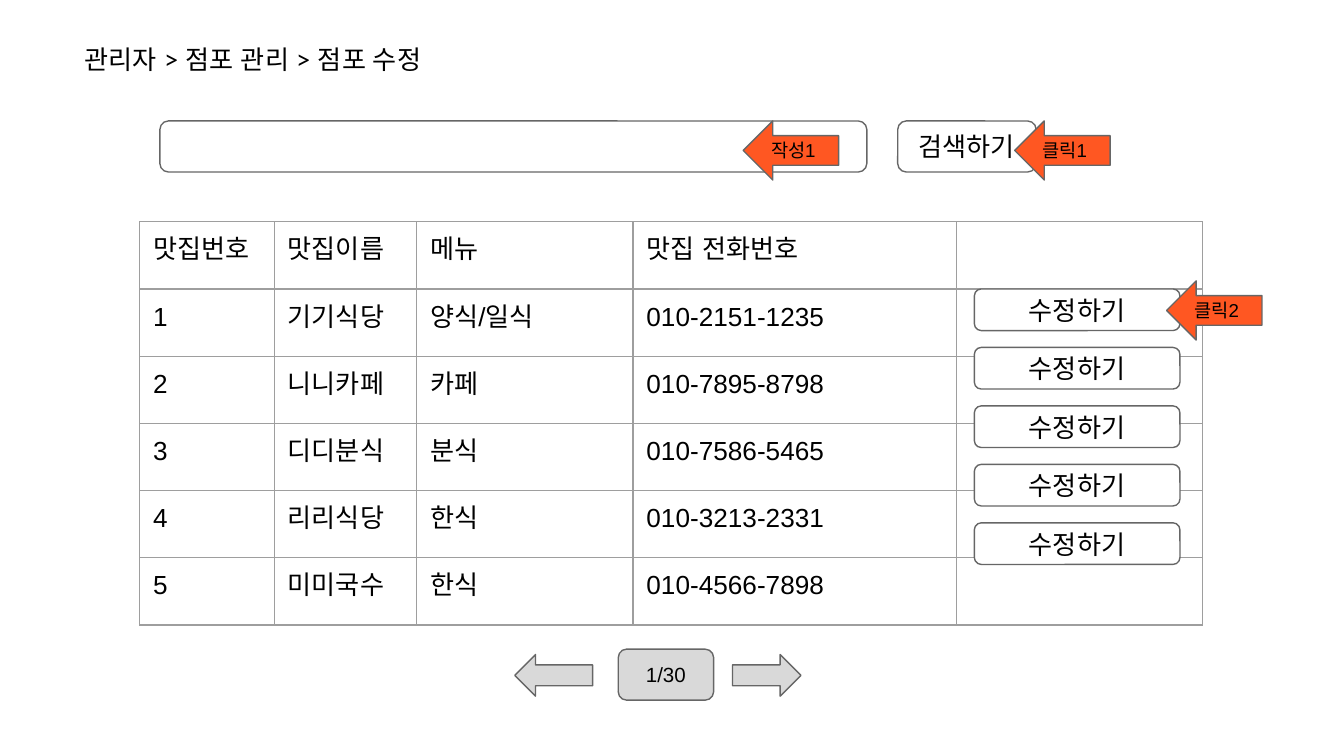
import pptx
import pptx.util
import pptx.dml.color
import pptx.enum.shapes
import pptx.enum.text
import pptx.oxml
from pptx.oxml.ns import nsdecls

Inches = pptx.util.Inches
Pt = pptx.util.Pt
RGB = pptx.dml.color.RGBColor.from_string
SHAPE = pptx.enum.shapes.MSO_SHAPE
ALIGN = pptx.enum.text.PP_ALIGN
ANCHOR = pptx.enum.text.MSO_ANCHOR

COLORS = {
    "text": "000000",
    "white": "FFFFFF",
    "outline": "666666",
    "pager": "D9D9D9",
    "callout": "FF5722",
    "grid": "9E9E9E",
}


def write(frame, text, size=14, font="Arial", align=ALIGN.LEFT, anchor=ANCHOR.TOP):
    frame.word_wrap = True
    frame.vertical_anchor = anchor
    frame.margin_left = frame.margin_right = Inches(0.1)
    frame.margin_top = frame.margin_bottom = Inches(0.1)
    paragraph = frame.paragraphs[0]
    paragraph.alignment = align
    run = paragraph.add_run()
    run.text = text
    run.font.size = Pt(size)
    run.font.name = font
    run.font.color.rgb = RGB(COLORS["text"])
    # Hangul takes its font from the East Asian slot
    run.font._element.append(pptx.oxml.parse_xml(
        f'<a:ea {nsdecls("a")} typeface="{font}"/>'))


def add_control(kind, left, top, width, height, fill, text="", **text_format):
    control = slide.shapes.add_shape(
        kind, Inches(left), Inches(top), Inches(width), Inches(height))
    control.shadow.inherit = False
    control.fill.solid()
    control.fill.fore_color.rgb = RGB(COLORS[fill])
    control.line.color.rgb = RGB(COLORS["outline"])
    control.line.width = Pt(0.75)
    if text:
        write(control.text_frame, text, anchor=ANCHOR.MIDDLE, **text_format)


# Widescreen 16:9 slide
presentation = pptx.Presentation()
presentation.slide_width = Inches(10)
presentation.slide_height = Inches(10 * 9 / 16)
slide = presentation.slides.add_slide(presentation.slide_layouts[5])

# Breadcrumb title
breadcrumb = slide.shapes.title
breadcrumb.left, breadcrumb.top = Inches(0.53), Inches(0.22)
breadcrumb.width, breadcrumb.height = Inches(4.19), Inches(0.44)
write(breadcrumb.text_frame, "관리자 > 점포 관리 > 점포 수정", font="Lato")
breadcrumb.text_frame.auto_size = pptx.enum.text.MSO_AUTO_SIZE.NONE

# Restaurant table
restaurants = [
    ["맛집번호", "맛집이름", "메뉴", "맛집 전화번호", ""],
    ["1", "기기식당", "양식/일식", "010-2151-1235", ""],
    ["2", "니니카페", "카페", "010-7895-8798", ""],
    ["3", "디디분식", "분식", "010-7586-5465", ""],
    ["4", "리리식당", "한식", "010-3213-2331", ""],
    ["5", "미미국수", "한식", "010-4566-7898", ""],
]
column_widths = [1, 1.06, 1.61, 2.41, 1.83]
row_height = 0.5
restaurant_list = slide.shapes.add_table(
    len(restaurants), len(column_widths), Inches(1.04), Inches(1.65),
    Inches(sum(column_widths)), Inches(row_height * len(restaurants))).table
restaurant_list.first_row = False
restaurant_list.horz_banding = False
for column, width in zip(restaurant_list.columns, column_widths):
    column.width = Inches(width)
for row, values in zip(restaurant_list.rows, restaurants):
    row.height = Inches(row_height)
    for cell, value in zip(row.cells, values):
        write(cell.text_frame, value)
        cell.margin_left = cell.margin_right = Inches(0.1)
        cell.margin_top = cell.margin_bottom = Inches(0.1)
        properties = cell._tc.get_or_add_tcPr()
        for side in ("lnL", "lnR", "lnT", "lnB"):
            properties.append(pptx.oxml.parse_xml(
                f'<a:{side} {nsdecls("a")} w="{Pt(0.75)}"><a:solidFill>'
                f'<a:srgbClr val="{COLORS["grid"]}"/></a:solidFill></a:{side}>'))
        cell.fill.background()

# Pager
add_control(SHAPE.RIGHT_ARROW, 5.45, 4.87, 0.51, 0.31, "pager")
add_control(SHAPE.LEFT_ARROW, 3.83, 4.87, 0.58, 0.31, "pager")
add_control(SHAPE.ROUNDED_RECTANGLE, 4.6, 4.83, 0.71, 0.38, "pager",
            "1/30", size=11, align=ALIGN.CENTER)

# Edit buttons
for index in range(5):
    add_control(SHAPE.ROUNDED_RECTANGLE, 7.25, 2.15 + index * 0.435, 1.53, 0.31,
                "white", "수정하기", align=ALIGN.CENTER)

# Search bar
add_control(SHAPE.ROUNDED_RECTANGLE, 1.19, 0.9, 5.26, 0.38, "white")
add_control(SHAPE.ROUNDED_RECTANGLE, 6.68, 0.9, 1.03, 0.38, "white",
            "검색하기", align=ALIGN.CENTER)

# Step callouts
for step, left, top in [("작성1", 5.53, 0.9), ("클릭1", 7.55, 0.9), ("클릭2", 8.68, 2.09)]:
    add_control(SHAPE.LEFT_ARROW, left, top, 0.71, 0.44, "callout", step, size=10)

presentation.save("out.pptx")
